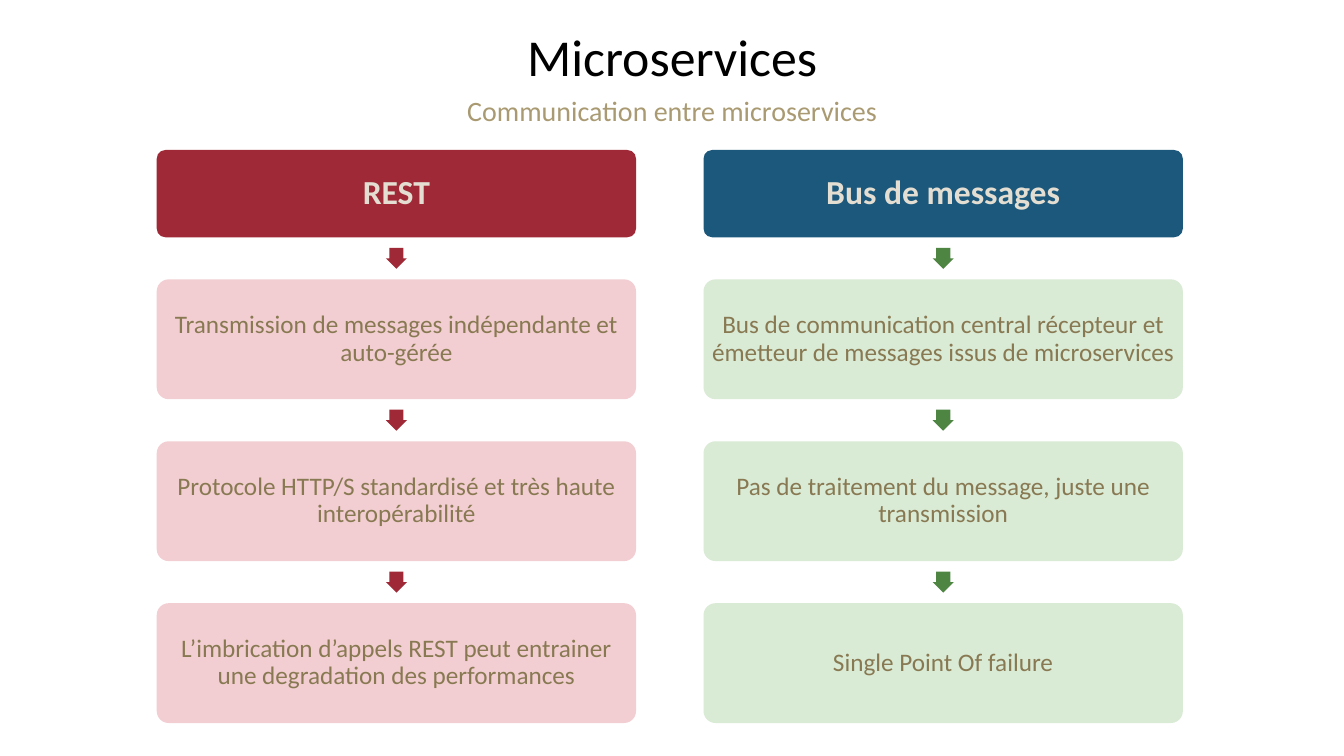
from pptx import Presentation
from pptx.dml.color import RGBColor
from pptx.enum.shapes import MSO_SHAPE
from pptx.enum.text import MSO_ANCHOR, PP_ALIGN
from pptx.util import Cm, Pt

FONT = "Calibri"
HEADER_HEIGHT = 2.2
DETAIL_HEIGHT = 3.02
STEP_GAP = 1.06
ARROW_SIZE = 0.53
COLUMN_LEFT, COLUMN_TOP, COLUMN_WIDTH, COLUMN_GAP = 3.95, 3.78, 12.08, 1.7

COLUMNS = [
    {
        "header": "REST",
        "details": [
            "Transmission de messages indépendante et auto-gérée",
            "Protocole HTTP/S standardisé et très haute interopérabilité",
            "L’imbrication d’appels REST peut entrainer une degradation des performances",
        ],
        "header_fill": "9F2936", "arrow_fill": "9F2936", "detail_fill": "F2CED2",
    },
    {
        "header": "Bus de messages",
        "details": [
            "Bus de communication central récepteur et émetteur de messages issus de microservices",
            "Pas de traitement du message, juste une transmission",
            "Single Point Of failure",
        ],
        "header_fill": "1B587C", "arrow_fill": "4E8542", "detail_fill": "D9EAD5",
    },
]


def color(hex_string):
    """Turn a hex string into a colour."""
    return RGBColor.from_string(hex_string)


def write_text(shape, text, *, size, fill, bold=False, spacing=0.9, before=0,
               anchor=MSO_ANCHOR.MIDDLE, inset=None):
    """Write one centred paragraph into a shape."""
    frame = shape.text_frame
    frame.word_wrap = True
    frame.vertical_anchor = anchor
    if inset is not None:
        frame.margin_left = frame.margin_right = Cm(inset)
        frame.margin_top = frame.margin_bottom = Cm(inset)
    paragraph = frame.paragraphs[0]
    paragraph.alignment = PP_ALIGN.CENTER
    paragraph.line_spacing = spacing
    paragraph.space_before = Pt(before)
    run = paragraph.add_run()
    run.text = text
    run.font.name = FONT
    run.font.size = Pt(size)
    run.font.bold = bold
    run.font.color.rgb = color(fill)


def add_filled_shape(slide, kind, left, top, width, height, fill, adjustments):
    """Add a flat preset shape without outline."""
    shape = slide.shapes.add_shape(kind, Cm(left), Cm(top), Cm(width), Cm(height))
    shape.shadow.inherit = False
    shape.fill.solid()
    shape.fill.fore_color.rgb = color(fill)
    shape.line.fill.background()
    for index, value in enumerate(adjustments):
        shape.adjustments[index] = value
    return shape


def add_heading(slide, left, top, width):
    """Place the title and the subtitle below it."""
    title = slide.shapes.title
    title.left, title.top, title.width, title.height = (
        Cm(left), Cm(top), Cm(width), Cm(1.42))
    write_text(title, "Microservices", size=37, fill="000000", spacing=0.7, before=10)
    subtitle = slide.shapes.add_textbox(Cm(left), Cm(top + 1.45), Cm(width), Cm(0.71))
    write_text(subtitle, "Communication entre microservices", size=20,
               fill="A99A72", before=10, anchor=MSO_ANCHOR.TOP)


def add_column(slide, column, left, top, width):
    """Stack a header and its details, with an arrow in each gap."""
    header = add_filled_shape(slide, MSO_SHAPE.ROUNDED_RECTANGLE, left, top, width,
                              HEADER_HEIGHT, column["header_fill"], [0.1])
    write_text(header, column["header"], size=24, fill="E3DED1", bold=True, inset=0.08)
    bottom = top + HEADER_HEIGHT
    for text in column["details"]:
        arrow = add_filled_shape(
            slide, MSO_SHAPE.RIGHT_ARROW, left + (width - ARROW_SIZE) / 2,
            bottom + (STEP_GAP - ARROW_SIZE) / 2, ARROW_SIZE, ARROW_SIZE,
            column["arrow_fill"], [0.67, 0.5])
        arrow.rotation = 90
        detail = add_filled_shape(
            slide, MSO_SHAPE.ROUNDED_RECTANGLE, left, bottom + STEP_GAP, width,
            DETAIL_HEIGHT, column["detail_fill"], [0.1])
        write_text(detail, text, size=18, fill="887952", inset=0.08)
        bottom += STEP_GAP + DETAIL_HEIGHT


def build_presentation():
    """Build the slide that compares two ways of communicating."""
    presentation = Presentation()
    presentation.slide_width = Cm(33.87)
    presentation.slide_height = Cm(19.05)
    slide = presentation.slides.add_slide(presentation.slide_layouts.get_by_name("Title Only"))
    add_heading(slide, 2.97, 0.89, 27.94)
    for index, column in enumerate(COLUMNS):
        left = COLUMN_LEFT + index * (COLUMN_WIDTH + COLUMN_GAP)
        add_column(slide, column, left, COLUMN_TOP, COLUMN_WIDTH)
    return presentation


build_presentation().save("out.pptx")
